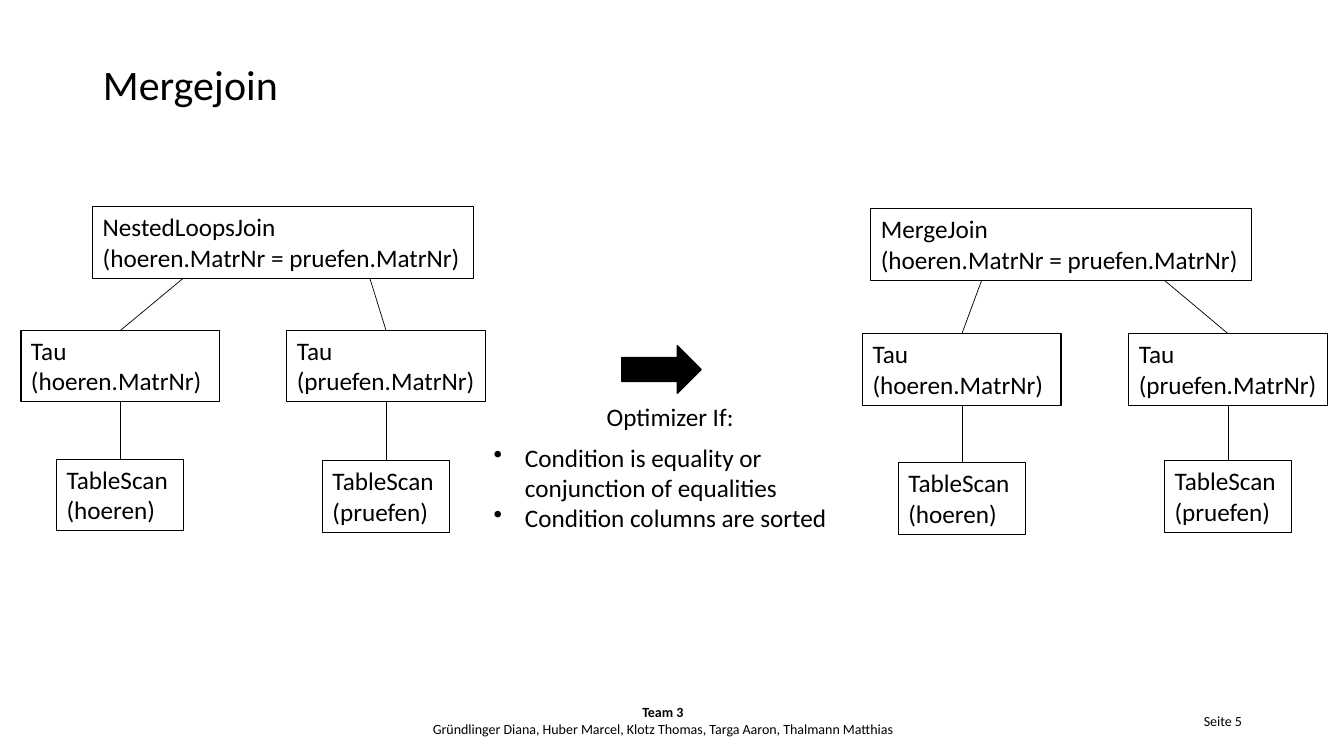
from dataclasses import dataclass

from lxml.etree import SubElement
from pptx import Presentation
from pptx.dml.color import RGBColor
from pptx.enum.shapes import MSO_CONNECTOR, MSO_SHAPE
from pptx.enum.text import MSO_ANCHOR, MSO_AUTO_SIZE, PP_ALIGN
from pptx.oxml.ns import qn
from pptx.shapes.autoshape import Shape
from pptx.slide import Slide
from pptx.util import Cm, Pt


@dataclass(frozen=True)
class Theme:
    font: str = "Calibri"
    ink: RGBColor = RGBColor(0, 0, 0)
    title: float = 30
    body: float = 18
    small: float = 10
    frame: float = 0.75
    link: float = 0.5


@dataclass(frozen=True)
class Box:
    """A place on the slide, in centimetres."""
    left: float
    top: float
    width: float
    height: float


@dataclass(frozen=True)
class Branch:
    """A sorted table scan below a join: mid is its axis, start its link on the join."""
    table: str
    mid: float
    start: float
    sort: float
    scan: float


@dataclass(frozen=True)
class Tree:
    join: str
    left: float
    top: float
    branches: tuple[Branch, ...]


THEME = Theme()
NODE = 1.8
JOIN, SORT, SCAN = 9.6, 5.0, 3.2
INDENT = Cm(0.79)

TREES = (
    Tree("NestedLoopsJoin", 2.34, 5.21, (
        Branch("hoeren", 3.03, 4.62, 8.33, 11.58),
        Branch("pruefen", 9.73, 9.32, 8.33, 11.61))),
    Tree("MergeJoin", 21.95, 5.26, (
        Branch("hoeren", 24.24, 24.74, 8.41, 11.66),
        Branch("pruefen", 30.95, 29.34, 8.41, 11.61))),
)


def place(shape: Shape, box: Box) -> None:
    shape.left, shape.top = Cm(box.left), Cm(box.top)
    shape.width, shape.height = Cm(box.width), Cm(box.height)


def write(shape: Shape, text: str, size: float = THEME.body,
          align: PP_ALIGN = PP_ALIGN.LEFT,
          anchor: MSO_ANCHOR = MSO_ANCHOR.TOP) -> None:
    frame = shape.text_frame
    frame.word_wrap = True
    frame.auto_size = MSO_AUTO_SIZE.NONE
    frame.vertical_anchor = anchor
    frame.text = text
    for para in frame.paragraphs:
        para.alignment = align
        para.font.name = THEME.font
        para.font.size = Pt(size)
        para.font.color.rgb = THEME.ink


def add_label(slide: Slide, box: Box, text: str, size: float = THEME.body,
              align: PP_ALIGN = PP_ALIGN.LEFT,
              anchor: MSO_ANCHOR = MSO_ANCHOR.TOP) -> Shape:
    label = slide.shapes.add_textbox(0, 0, 0, 0)
    place(label, box)
    write(label, text, size, align, anchor)
    return label


def add_node(slide: Slide, left: float, top: float, width: float, text: str) -> None:
    node = slide.shapes.add_shape(MSO_SHAPE.RECTANGLE, 0, 0, 0, 0)
    place(node, Box(left, top, width, NODE))
    node.shadow.inherit = False
    node.fill.background()
    node.line.color.rgb = THEME.ink
    node.line.width = Pt(THEME.frame)
    write(node, text)


def add_link(slide: Slide, x1: float, y1: float, x2: float, y2: float) -> None:
    link = slide.shapes.add_connector(
        MSO_CONNECTOR.STRAIGHT, Cm(x1), Cm(y1), Cm(x2), Cm(y2))
    link.line.color.rgb = THEME.ink
    link.line.width = Pt(THEME.link)
    SubElement(link._element.spPr, qn("a:effectLst"))


def add_tree(slide: Slide, tree: Tree) -> None:
    add_node(slide, tree.left, tree.top, JOIN,
             f"{tree.join}\n(hoeren.MatrNr = pruefen.MatrNr)")
    for part in tree.branches:
        add_node(slide, part.mid - SORT / 2, part.sort, SORT,
                 f"Tau ({part.table}.MatrNr)")
        add_node(slide, part.mid - SCAN / 2, part.scan, SCAN,
                 f"TableScan ({part.table})")
        add_link(slide, part.start, tree.top + NODE, part.mid, part.sort)
        add_link(slide, part.mid, part.sort + NODE, part.mid, part.scan)


def add_arrow(slide: Slide, box: Box) -> None:
    arrow = slide.shapes.add_shape(MSO_SHAPE.RIGHT_ARROW, 0, 0, 0, 0)
    place(arrow, box)
    arrow.shadow.inherit = False
    arrow.fill.solid()
    arrow.fill.fore_color.rgb = THEME.ink
    arrow.line.color.rgb = THEME.ink
    arrow.line.width = Pt(1)


def add_bullets(shape: Shape) -> None:
    for para in shape.text_frame.paragraphs:
        props = para._p.get_or_add_pPr()
        props.set("marL", str(INDENT))
        props.set("indent", str(-INDENT))
        mark = props.makeelement(qn("a:buChar"), {"char": "•"})
        props.insert_element_before(mark, "a:tabLst", "a:defRPr", "a:extLst")


def add_title(slide: Slide) -> None:
    title = slide.shapes.title
    place(title, Box(2.34, 1.52, 29.21, 1.35))
    write(title, "Mergejoin", THEME.title, anchor=MSO_ANCHOR.MIDDLE)
    title.text_frame.paragraphs[0].line_spacing = 0.9


def add_footer(slide: Slide) -> None:
    add_label(slide, Box(23.93, 17.65, 7.62, 1.02), "Seite 5",
              THEME.small, PP_ALIGN.RIGHT, MSO_ANCHOR.MIDDLE)
    team = add_label(
        slide, Box(10.34, 17.65, 12.73, 1.02),
        "Team 3\nGründlinger Diana, Huber Marcel, Klotz Thomas, "
        "Targa Aaron, Thalmann Matthias",
        THEME.small, PP_ALIGN.CENTER, MSO_ANCHOR.MIDDLE)
    team.text_frame.paragraphs[0].font.bold = True


def main() -> None:
    deck = Presentation()
    deck.slide_width, deck.slide_height = Cm(33.87), Cm(19.05)
    slide = deck.slides.add_slide(deck.slide_layouts.get_by_name("Title Only"))
    add_title(slide)
    add_footer(slide)
    for tree in TREES:
        add_tree(slide, tree)
    add_arrow(slide, Box(15.67, 8.71, 2.0, 1.2))
    add_label(slide, Box(15.04, 9.98, 3.81, 1.02), "Optimizer If:")
    rules = add_label(
        slide, Box(12.19, 11.02, 9.45, 2.57),
        "Condition is equality or \vconjunction of equalities\n"
        "Condition columns are sorted")
    add_bullets(rules)
    deck.save("out.pptx")


if __name__ == "__main__":
    main()
